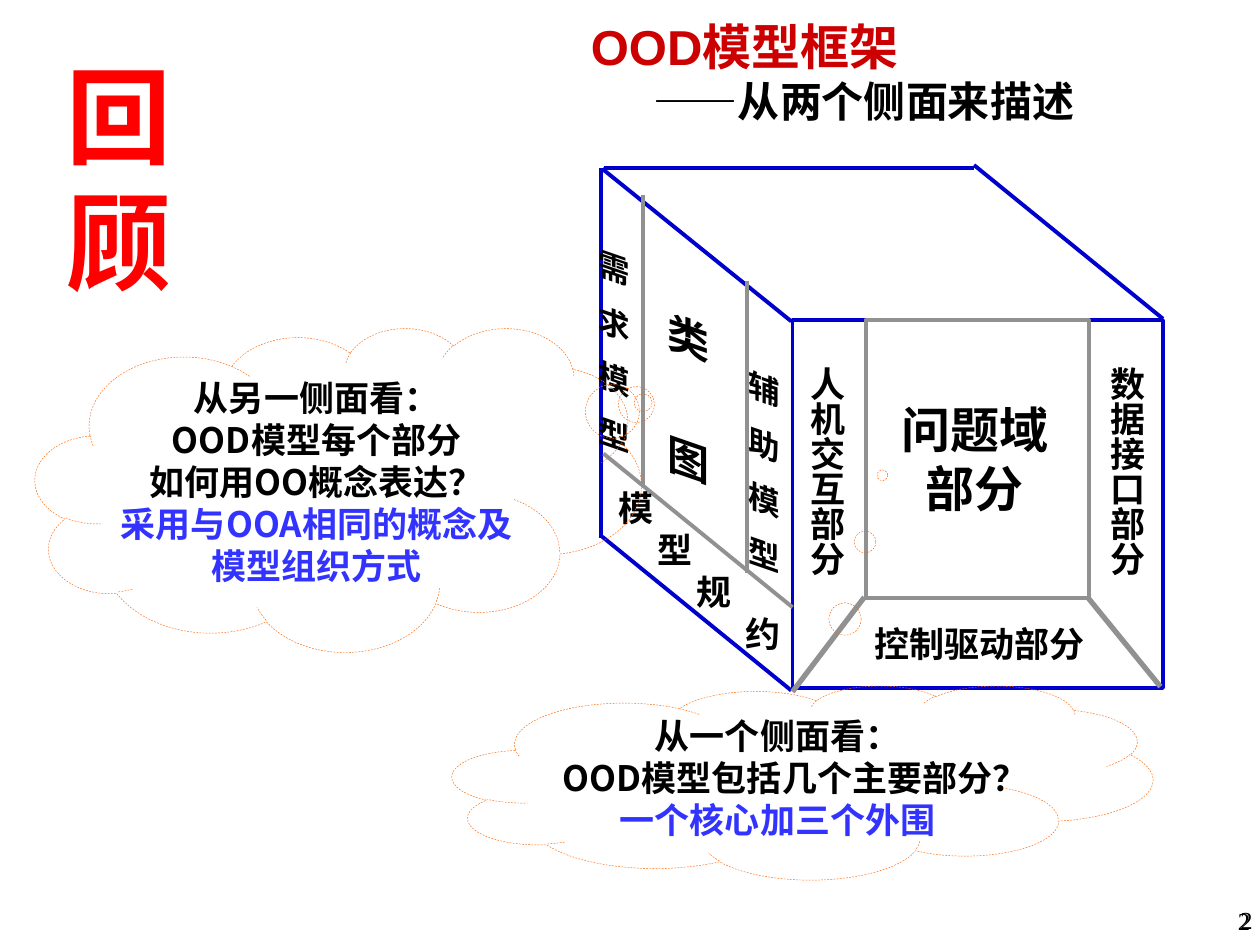
import pptx
import pptx.dml.color
import pptx.enum.dml
import pptx.enum.shapes
import pptx.enum.text
import pptx.oxml.ns
import pptx.util
from lxml import etree

COLUMNS = 100  # square grid cells across the slide; 75 rows down
BLUE, GREY, ORANGE = "0000CC", "919191", "FF6600"
BLACK, RED, CRIMSON, VIOLET = "000000", "FF0000", "CC0000", "3333FF"
CJK = "Noto Sans CJK SC"
ALIGN = pptx.enum.text.PP_ALIGN
ANCHOR = pptx.enum.text.MSO_ANCHOR
SHAPE = pptx.enum.shapes.MSO_SHAPE
hex_color = pptx.dml.color.RGBColor.from_string

deck = pptx.Presentation()
deck.slide_width, deck.slide_height = pptx.util.Inches(10), pptx.util.Inches(7.5)
slide = deck.slides.add_slide(deck.slide_layouts[5])
shapes = slide.shapes


def cells(*counts):
    """Turn counts of grid cells into slide lengths."""
    return [round(count * deck.slide_width / COLUMNS) for count in counts]


def write(shape, text, size=20, color=BLACK, font="Times New Roman", bold=True,
          italic=False, align=ALIGN.LEFT, anchor=ANCHOR.TOP, inset=(0, 0),
          wrap=False, vertical=False, tracking=0, indent=0, first=True):
    """Write one paragraph, into the empty frame if first, else below the others."""
    frame = shape.text_frame
    if first:
        frame.word_wrap = wrap
        frame.auto_size = pptx.enum.text.MSO_AUTO_SIZE.NONE
        frame.vertical_anchor = anchor
        frame.margin_left, frame.margin_top = cells(*inset)
        frame.margin_right, frame.margin_bottom = cells(*inset)
        if vertical:
            frame._txBody.bodyPr.set("vert", "eaVert")
    paragraph = frame.paragraphs[0] if first else frame.add_paragraph()
    paragraph.alignment = align
    paragraph.line_spacing = pptx.util.Pt(size * 1.2)
    if indent:
        paragraph._p.get_or_add_pPr().set("marL", str(cells(indent)[0]))
    run = paragraph.add_run()
    run.text = text
    run.font.size, run.font.name = pptx.util.Pt(size), font
    run.font.bold, run.font.italic = bold, italic
    run.font.color.rgb = hex_color(color)
    properties = run.font._element
    east_asian = etree.SubElement(properties, pptx.oxml.ns.qn("a:ea"))
    east_asian.set("typeface", CJK)
    if tracking:
        properties.set("spc", str(round(tracking * 100)))


# Heading and page number
review = shapes.title
review.left, review.top, review.width, review.height = cells(4.3, 3.6, 18.6, 11)
write(review, "回顾", size=60, color=RED, inset=(1, 0.5))

framework = shapes.add_textbox(*cells(46.9, 1.3, 41.9, 8.7))
write(framework, "OOD模型框架", size=28, color=CRIMSON, font="Arial", wrap=True)
write(framework, "——从两个侧面来描述", size=24, font="Arial", indent=5, first=False)

for left, top in [(79.4, 70.6), (79.6, 70.5)]:
    write(shapes.add_textbox(*cells(left, top, 20.8, 5)), "2", size=14, bold=False,
          align=ALIGN.RIGHT, anchor=ANCHOR.MIDDLE, inset=(1, 0.5))

# Cube: front face with its core part, then the edges and dividers
for box, color in [((62.9, 25.4, 29.4, 29.2), BLUE), ((68.7, 25.4, 17.7, 22.1), GREY)]:
    face = shapes.add_shape(SHAPE.RECTANGLE, *cells(*box))
    face.shadow.inherit = False
    face.fill.background()
    face.line.color.rgb = hex_color(color)
    face.line.width = pptx.util.Pt(2.25)

edges = [
    (BLUE, 2.25, [(47.9, 13.3, 77.3, 13.3), (47.7, 42.7, 47.7, 13.3),
                  (47.8, 42.6, 62.8, 54.8), (47.8, 13.4, 62.8, 25.5),
                  (77.3, 13.1, 92.3, 25.3)]),
    (GREY, 3, [(68.6, 47.4, 62.9, 54.9), (86.4, 47.5, 92.1, 54.5)]),
    (GREY, 2.25, [(47.9, 36, 62.9, 48.2), (51, 15.5, 51, 38.6),
                  (59.3, 22.3, 59.3, 45.5)]),
]
for color, weight, segments in edges:
    for segment in segments:
        edge = shapes.add_connector(pptx.enum.shapes.MSO_CONNECTOR.STRAIGHT,
                                    *cells(*segment))
        edge.line.color.rgb = hex_color(color)
        edge.line.width = pptx.util.Pt(weight)
        etree.SubElement(edge._element.spPr, pptx.oxml.ns.qn("a:effectLst"))

# Front face labels
for left, part in [(64, "人机交互部分"), (87.8, "数据接口部分")]:
    write(shapes.add_textbox(*cells(left, 29.1, 3.3, 16.7)), part, vertical=True)
write(shapes.add_textbox(*cells(69.4, 49.4, 16.7, 3.3)), "控制驱动部分")
core = shapes.add_textbox(*cells(71.5, 31.7, 11.7, 9.3))
for row, line in enumerate(["问题域", "部分"]):
    write(core, line, size=28, align=ALIGN.CENTER, first=row == 0)

# Side face labels, spread down by letter spacing
side_models = [
    ("需求模型", (47.9, 19.6, 3, 18), 18, 13.7),
    ("辅助模型", (59.8, 29.2, 3, 18), 18, 13.7),
    ("类图", (53.5, 24.6, 4, 20), 24, 45.7),
]
for model, box, size, tracking in side_models:
    write(shapes.add_textbox(*cells(*box)), model, size=size, italic=True,
          vertical=True, tracking=tracking, wrap=True)
specification = shapes.add_textbox(*cells(49.1, 38.6, 12.9, 13.3))
for row, (character, indent) in enumerate(zip("模型规约", [0, 3.1, 6.2, 10.1])):
    write(specification, character, indent=indent, wrap=True, first=row == 0)

# Cloud remarks: question in black, answer in violet
remarks = [
    ((35.9, 54.4, 55.6, 15.4), (0.114, -1.583),
     ["从一个侧面看：", "OOD模型包括几个主要部分？"],
     ["一个核心加三个外围"]),
    ((2.8, 26, 48.1, 25.7), (0.503, -0.268),
     ["从另一侧面看：", "OOD模型每个部分", "如何用OO概念表达？"],
     ["采用与OOA相同的概念及", "模型组织方式"]),
]
for box, tail, question, answer in remarks:
    cloud = shapes.add_shape(SHAPE.CLOUD_CALLOUT, *cells(*box))
    cloud.adjustments[0], cloud.adjustments[1] = tail
    cloud.shadow.inherit = False
    cloud.fill.background()
    cloud.line.color.rgb = hex_color(ORANGE)
    cloud.line.width = pptx.util.Pt(0.25)
    cloud.line.dash_style = pptx.enum.dml.MSO_LINE.DASH
    for row, line in enumerate(question + answer):
        write(cloud, line, font=CJK, color=BLACK if line in question else VIOLET,
              align=ALIGN.CENTER, anchor=ANCHOR.MIDDLE, wrap=True, first=row == 0)

deck.save("out.pptx")
